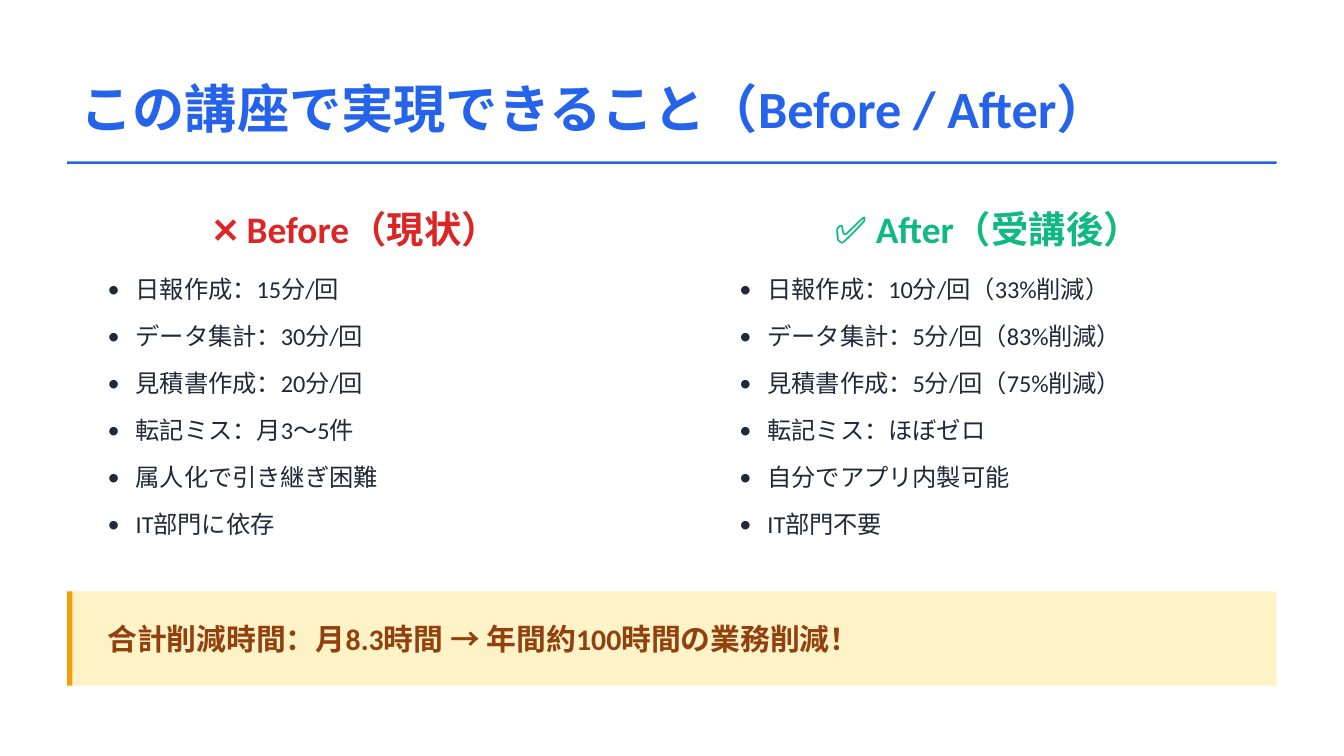
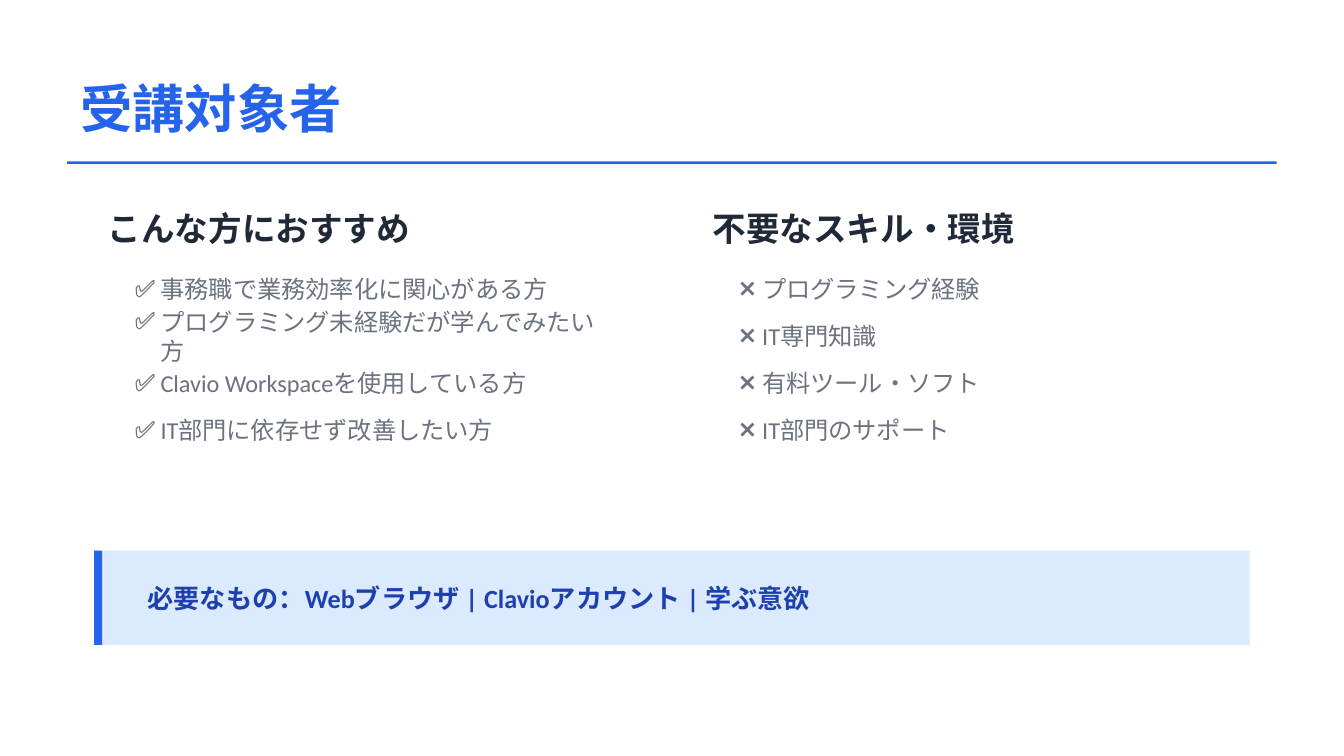
from lxml.etree import SubElement
from pptx import Presentation
from pptx.dml.color import RGBColor
from pptx.enum.shapes import MSO_SHAPE
from pptx.enum.text import MSO_ANCHOR, MSO_AUTO_SIZE, PP_ALIGN
from pptx.oxml.ns import qn
from pptx.util import Cm, Pt

FONT = "Calibri"
BLUE, INK, GRAY = "2563EB", "1F2937", "6B7280"
RED, GREEN = "DC2626", "10B981"

SLIDES = [
    {
        "title": "この講座で実現できること（Before / After）",
        "heading": {"size": 20, "align": PP_ALIGN.CENTER, "lefts": (1.27, 13.21), "width": 10.92},
        "list": {"color": INK, "lefts": (1.78, 13.72), "width": 10.16},
        "columns": [
            ("❌ Before（現状）", RED, "•", 0.53, [
                "日報作成：15分/回",
                "データ集計：30分/回",
                "見積書作成：20分/回",
                "転記ミス：月3〜5件",
                "属人化で引き継ぎ困難",
                "IT部門に依存",
            ]),
            ("✅ After（受講後）", GREEN, "•", 0.53, [
                "日報作成：10分/回（33%削減）",
                "データ集計：5分/回（83%削減）",
                "見積書作成：5分/回（75%削減）",
                "転記ミス：ほぼゼロ",
                "自分でアプリ内製可能",
                "IT部門不要",
            ]),
        ],
        "banner": {
            "text": "合計削減時間：月8.3時間 → 年間約100時間の業務削減！",
            "left": 1.27, "top": 11.18, "bar": 0.1, "indent": 0.51,
            "size": 16, "color": "92400E", "fill": "FEF3C7", "accent": "F59E0B",
        },
    },
    {
        "title": "受講対象者",
        "heading": {"size": 18, "align": PP_ALIGN.LEFT, "lefts": (1.78, 13.21), "width": 10.41},
        "list": {"color": GRAY, "lefts": (2.29, 13.72), "width": 9.4},
        "columns": [
            ("こんな方におすすめ", INK, "✅", 0.49, [
                "事務職で業務効率化に関心がある方",
                "プログラミング未経験だが学んでみたい方",
                "Clavio Workspaceを使用している方",
                "IT部門に依存せず改善したい方",
            ]),
            ("不要なスキル・環境", INK, "❌", 0.43, [
                "プログラミング経験",
                "IT専門知識",
                "有料ツール・ソフト",
                "IT部門のサポート",
            ]),
        ],
        "banner": {
            "text": "必要なもの：Webブラウザ | Clavioアカウント | 学ぶ意欲",
            "left": 1.78, "top": 10.41, "bar": 0.15, "indent": 0.76,
            "size": 14, "color": "1E40AF", "fill": "DBEAFE", "accent": BLUE,
        },
    },
]

SLIDE_WIDTH, SLIDE_HEIGHT = 25.4, 14.29
MARGIN = 1.27
HEADING_TOP, HEADING_HEIGHT = 3.81, 1.02
LIST_TOP, ROW_PITCH, ROW_GAP = 5.08, 0.89, 0.13
LIST_SIZE, LINE_HEIGHT, INSET = 13, 15.6, 0.25
BANNER_HEIGHT, BANNER_INSET = 1.78, 0.25


def rgb(color):
    return RGBColor.from_string(color)


def place(shape, left, top, width, height):
    shape.left, shape.top = Cm(left), Cm(top)
    shape.width, shape.height = Cm(width), Cm(height)


def prepare_frame(shape):
    frame = shape.text_frame
    frame.auto_size = MSO_AUTO_SIZE.NONE
    frame.word_wrap = True
    frame.vertical_anchor = MSO_ANCHOR.MIDDLE
    return frame


def write(paragraph, text, size=LIST_SIZE, color=INK, bold=False, align=PP_ALIGN.LEFT, before=0):
    paragraph.alignment = align
    paragraph.space_before = Pt(before)
    run = paragraph.add_run()
    run.text = text
    run.font.name = FONT
    run.font.size = Pt(size)
    run.font.bold = bold
    run.font.color.rgb = rgb(color)


def add_bullet(paragraph, mark, indent):
    properties = paragraph._p.get_or_add_pPr()
    properties.set("marL", str(Cm(indent)))
    properties.set("indent", str(-Cm(indent)))
    SubElement(properties, qn("a:buFont")).set("typeface", FONT)
    SubElement(properties, qn("a:buChar")).set("char", mark)


def add_block(slide, color, left, top, width, height):
    block = slide.shapes.add_shape(
        MSO_SHAPE.RECTANGLE, Cm(left), Cm(top), Cm(width), Cm(height))
    block.shadow.inherit = False
    block.fill.solid()
    block.fill.fore_color.rgb = rgb(color)
    block.line.fill.background()


def count_lines(text, width):
    ems = sum(0.5 if character.isascii() else 1 for character in text)
    return 2 if Pt(ems * LIST_SIZE) > Cm(width) else 1


def fill_list(shape, items, mark, indent, left, width, color):
    place(shape, left, LIST_TOP, width, len(items) * ROW_PITCH - ROW_GAP)
    frame = prepare_frame(shape)
    previous_lines = 0
    for index, item in enumerate(items):
        paragraph = frame.add_paragraph() if index else frame.paragraphs[0]
        lines = count_lines(item, width - 2 * INSET - indent)
        gap = Cm(ROW_PITCH).pt - LINE_HEIGHT * (previous_lines + lines) / 2 if index else 0
        add_bullet(paragraph, mark, indent)
        paragraph.line_spacing = Pt(LINE_HEIGHT)
        write(paragraph, item, color=color, before=round(gap, 1))
        previous_lines = lines


def add_banner(slide, text, left, top, bar, indent, size, color, fill, accent):
    width = SLIDE_WIDTH - 2 * left
    add_block(slide, fill, left, top, width, BANNER_HEIGHT)
    add_block(slide, accent, left, top, bar, BANNER_HEIGHT)
    message = slide.shapes.add_textbox(
        Cm(left + indent), Cm(top + BANNER_INSET),
        Cm(width - indent), Cm(BANNER_HEIGHT - 2 * BANNER_INSET))
    write(prepare_frame(message).paragraphs[0], text, size=size, color=color, bold=True)


def add_slide(presentation, content):
    slide = presentation.slides.add_slide(presentation.slide_layouts[4])
    title, *bodies = slide.placeholders
    bodies = bodies[:4]
    full_width = SLIDE_WIDTH - 2 * MARGIN
    place(title, MARGIN, 1.27, full_width, 1.52)
    write(prepare_frame(title).paragraphs[0], content["title"], size=28, color=BLUE, bold=True)
    add_block(slide, BLUE, MARGIN, 3.05, full_width, 0.05)

    heading_style, list_style = content["heading"], content["list"]
    for index, (heading, color, mark, indent, items) in enumerate(content["columns"]):
        heading_shape, list_shape = bodies[2 * index:2 * index + 2]
        place(heading_shape, heading_style["lefts"][index], HEADING_TOP,
              heading_style["width"], HEADING_HEIGHT)
        write(prepare_frame(heading_shape).paragraphs[0], heading, size=heading_style["size"],
              color=color, bold=True, align=heading_style["align"])
        fill_list(list_shape, items, mark, indent, list_style["lefts"][index],
                  list_style["width"], list_style["color"])
    add_banner(slide, **content["banner"])


def main():
    presentation = Presentation()
    presentation.slide_width = Cm(SLIDE_WIDTH)
    presentation.slide_height = Cm(SLIDE_HEIGHT)
    for content in SLIDES:
        add_slide(presentation, content)
    presentation.save("out.pptx")


if __name__ == "__main__":
    main()
